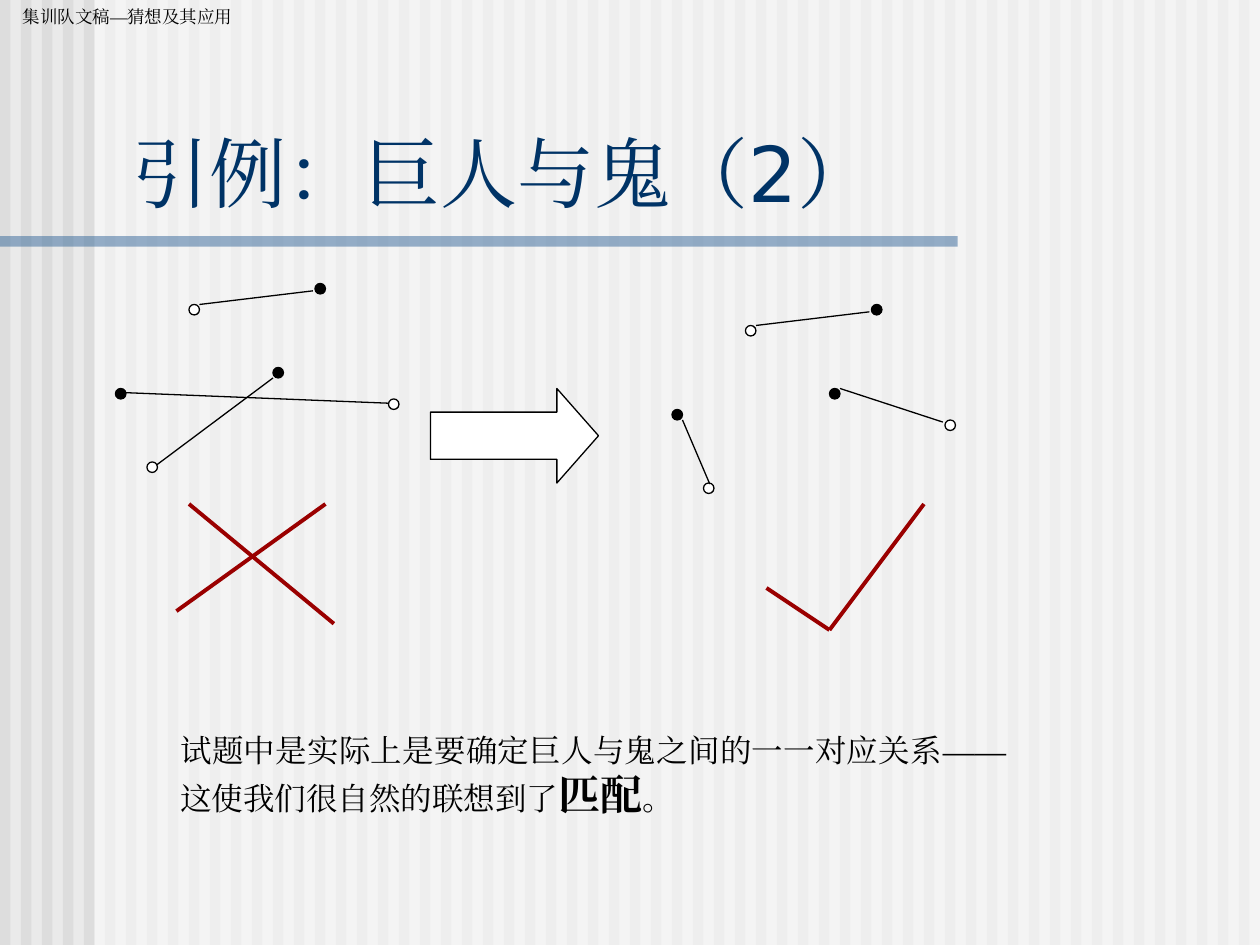
from lxml import etree
from pptx import Presentation
from pptx.dml.color import RGBColor
from pptx.enum.shapes import MSO_CONNECTOR as Connector, MSO_SHAPE as Shape
from pptx.enum.text import MSO_ANCHOR as Anchor, MSO_AUTO_SIZE as AutoSize, PP_ALIGN as Align
from pptx.oxml.ns import qn
from pptx.util import Cm, Pt

BLACK, WHITE, RED, NAVY = "000000", "FFFFFF", "9A0000", "003366"
SANS, SERIF = "DejaVu Sans", "Times New Roman"


def grid(cells):
    """Length of a number of grid cells, twelve to the inch."""
    return Cm(cells * 2.54 / 12)


def paint(target, color):
    """Give a fill, or the fill of a line, a solid colour."""
    target.solid()
    target.fore_color.rgb = RGBColor.from_string(color)


def add_text(para, text, size=18, font=SANS, color=BLACK, bold=False):
    span = para.add_run()
    span.text = text
    span.font.size = Pt(size)
    span.font.name = font
    span.font.bold = bold
    paint(span.font.fill, color)
    east = etree.SubElement(span.font._element, qn("a:ea"))
    east.set("typeface", SERIF)


class Sketch:
    """The current slide and the style of its drawings."""

    thin, thick = 0.75, 2.25

    def __init__(self, page):
        self.page = page

    def shape(self, kind, left, top, width, height, fill, outline=None, alpha=None):
        item = self.page.shapes.add_shape(
            kind, grid(left), grid(top), grid(width), grid(height))
        item.shadow.inherit = False
        paint(item.fill, fill)
        if alpha:
            tone = item._element.spPr.find(f"{qn('a:solidFill')}/{qn('a:srgbClr')}")
            etree.SubElement(tone, qn("a:alpha")).set("val", str(alpha * 1000))
        if outline:
            paint(item.line.fill, outline)
            item.line.width = Pt(self.thin)
        else:
            item.line.fill.background()
        return item

    def band(self, left, top, width, height, fill, alpha=None):
        self.shape(Shape.RECTANGLE, left, top, width, height, fill, alpha=alpha)

    def dots(self, places, fill):
        for left, top in places:
            self.shape(Shape.OVAL, left, top, 1, 1, fill, BLACK)

    def lines(self, ends, color=BLACK, width=thin):
        for x1, y1, x2, y2 in ends:
            line = self.page.shapes.add_connector(
                Connector.STRAIGHT, grid(x1), grid(y1), grid(x2), grid(y2))
            paint(line.line.fill, color)
            line.line.width = Pt(width)
            etree.SubElement(line._element.spPr, qn("a:effectLst"))

    def matching(self, giants, ghosts, links):
        self.dots(ghosts, WHITE)
        self.dots(giants, BLACK)
        self.lines(links)

    def text_box(self, left, top, width, height, align=Align.LEFT):
        box = self.page.shapes.add_textbox(
            grid(left), grid(top), grid(width), grid(height))
        box.text_frame.word_wrap = True
        para = box.text_frame.paragraphs[0]
        para.alignment = align
        return para

    def title(self, text, left, top, width, height):
        box = self.page.shapes.title
        self.page.shapes.element.append(box.element)  # in front of the backdrop
        box.left, box.top = grid(left), grid(top)
        box.width, box.height = grid(width), grid(height)
        frame = box.text_frame
        frame.auto_size = AutoSize.NONE
        frame.vertical_anchor = Anchor.BOTTOM
        para = frame.paragraphs[0]
        para.alignment = Align.LEFT
        add_text(para, text, size=44, color=NAVY)


def main():
    deck = Presentation()
    deck.slide_width, deck.slide_height = Cm(25.4), Cm(19.05)
    page = deck.slides.add_slide(deck.slide_layouts[5])
    paint(page.background.fill, "EAEAEA")
    sketch = Sketch(page)

    # Striped backdrop, veil and title rule
    for left in range(0, 120, 2):
        sketch.band(left, 0, 1, 90, "DDDDDD")
    sketch.band(9, 0, 111, 90, WHITE, alpha=50)
    sketch.band(0, 22.5, 91.2, 1, "336699", alpha=50)

    # Header and title
    header = sketch.text_box(1, 0, 27, 3.2)
    add_text(header, "集训队文稿—猜想及其应用", size=10, font=SERIF)
    sketch.title("引例：巨人与鬼（2）", 11.4, 11.3, 107.2, 10.1)

    # Crossing pairs, marked wrong
    sketch.matching(
        giants=[(26, 35), (11, 37), (30, 27)],
        ghosts=[(18, 29), (37, 38), (14, 44)],
        links=[(19, 29, 29.8, 27.7), (12, 37.4, 37, 38.4), (26, 36, 14.9, 44.3)])
    sketch.lines([(31, 48, 16.8, 58.2), (18, 48, 31.8, 59.4)], RED, sketch.thick)

    # Arrow to the solution
    arrow = sketch.shape(Shape.RIGHT_ARROW, 41, 37, 16, 9, WHITE, BLACK)
    arrow.adjustments[1] = 0.44

    # Pairs without crossings, marked right
    sketch.matching(
        giants=[(79, 37), (64, 39), (83, 29)],
        ghosts=[(71, 31), (90, 40), (67, 46)],
        links=[(72, 31, 82.8, 29.7), (65, 40, 67.6, 46.1), (80, 37, 89.8, 40.2)])
    sketch.lines([(73, 56, 79, 60), (79, 60, 88, 48)], RED, sketch.thick)

    # Conclusion
    note = sketch.text_box(16, 69, 81, 9.6, align=Align.JUSTIFY)
    add_text(note, "试题中是实际上是要确定巨人与鬼之间的一一对应关系——这使我们很自然的联想到了")
    add_text(note, "匹配", size=24, bold=True)
    add_text(note, "。")

    deck.save("out.pptx")


if __name__ == "__main__":
    main()
